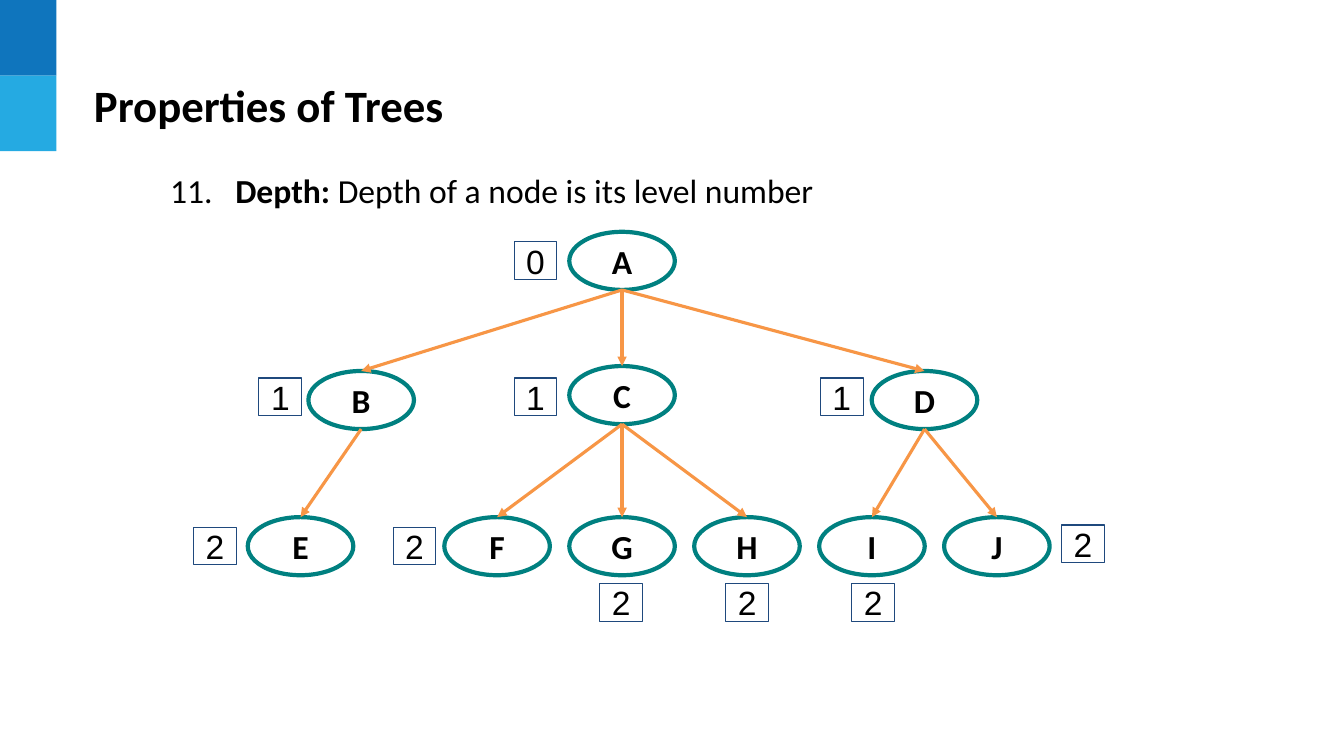
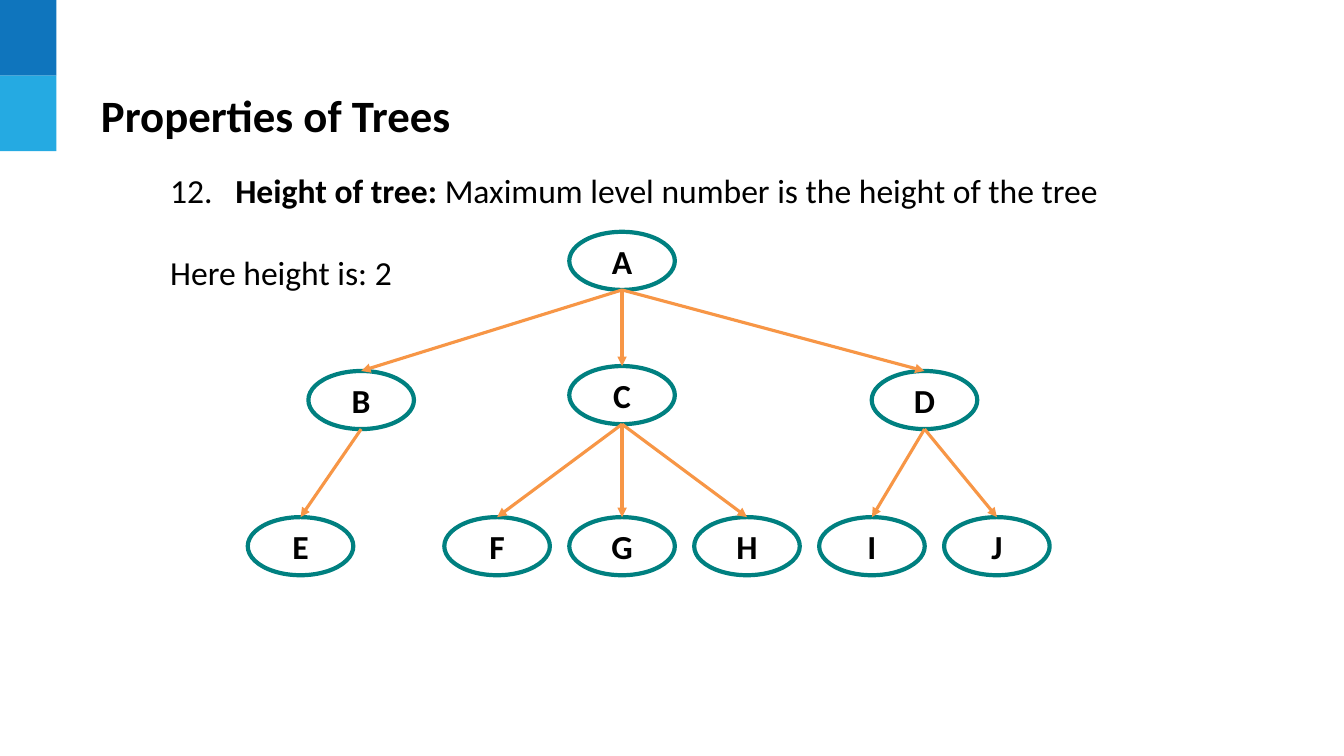
"""Build two slides on tree properties: node depth and tree height."""
from dataclasses import dataclass

from lxml.etree import SubElement as Sub
from pptx import Presentation
from pptx.dml.color import RGBColor as Rgb
from pptx.enum.shapes import MSO_CONNECTOR as Link, MSO_SHAPE as Kind
from pptx.enum.text import MSO_ANCHOR as Anchor, PP_ALIGN as Align
from pptx.oxml.ns import qn
from pptx.util import Pt


@dataclass(frozen=True)
class Theme:
    ink: str = "000000"
    paper: str = "FFFFFF"
    bands: tuple = ("0F75BD", "25AAE2")
    node: str = "008080"
    edge: str = "F79646"
    badge: str = "1F497D"
    font: str = "Calibri"
    digit: str = "Arial"
    head: int = 32
    body: int = 24


theme = Theme()


def write(para, text, size=theme.body, bold=False, font=theme.font):
    run = para.add_run()
    run.text = text
    run.font.name = font
    run.font.size = Pt(size)
    run.font.bold = bold
    run.font.color.rgb = Rgb.from_string(theme.ink)


def draw(shapes, kind, box, fill, line=None, width=0):
    shape = shapes.add_shape(kind, *map(Pt, box))
    shape.shadow.inherit = False
    shape.fill.solid()
    shape.fill.fore_color.rgb = Rgb.from_string(fill)
    if line:
        shape.line.color.rgb = Rgb.from_string(line)
        shape.line.width = Pt(width)
    else:
        shape.line.fill.background()
    frame = shape.text_frame
    frame.word_wrap = True
    frame.vertical_anchor = Anchor.MIDDLE
    frame.margin_top = frame.margin_bottom = 0
    frame.paragraphs[0].alignment = Align.CENTER
    return shape


wide, high = 75.4, 41.5
mid, low = 265, 369.4
start, gap = 355.1, 89.25
nodes = {"A": (start + gap, 165.6), "B": (258, mid), "C": (start + gap, 261.5),
         "D": (660.4, mid), "E": (214.7, low)}
nodes.update({name: (start + gap * i, low) for i, name in enumerate("FGHIJ")})
kids = {"A": "BCD", "B": "E", "C": "FGH", "D": "IJ"}
depth = {"A": 0}
for top, names in kids.items():
    depth.update({name: depth[top] + 1 for name in names})

beside, under = 376.6, 416.9
badges = {"A": (367.2, 172.8), "B": (185, 270), "C": (367.2, 270),
          "D": (586, 270), "E": (138.2, beside), "F": (280.8, beside),
          "G": (428.4, under), "H": (518.4, under), "I": (608.4, under),
          "J": (758.2, 375)}

pages = [
    {"head": (60, 42.5), "mark": "11.", "term": "Depth:",
     "text": " Depth of a node is its level number", "note": "", "tall": 44,
     "badges": badges},
    {"head": (65, 49.7), "mark": "12.", "term": "Height of tree:",
     "text": " Maximum level number is the height of the tree",
     "note": "Here height is: 2", "tall": 101.5, "badges": {}},
]

deck = Presentation()
deck.slide_width, deck.slide_height = Pt(960), Pt(540)
blank = deck.slide_layouts[6]
for item in list(blank.placeholders):
    blank.shapes.element.remove(item.element)

for page in pages:
    shapes = deck.slides.add_slide(blank).shapes
    if page is pages[0]:
        for i, tint in enumerate(theme.bands):
            band = draw(shapes, Kind.RECTANGLE, (0, 54 * i, 40.3, 54), tint)
            blank.shapes.element.append(band.element)

    frame = shapes.add_textbox(*map(Pt, (*page["head"], 630, 64.8))).text_frame
    frame.word_wrap = True
    frame.vertical_anchor = Anchor.MIDDLE
    write(frame.paragraphs[0], "Properties of Trees", theme.head, True)

    box = (114.5, 114.5, 730.8, page["tall"])
    frame = shapes.add_textbox(*map(Pt, box)).text_frame
    frame.word_wrap = True
    frame.margin_top = frame.margin_bottom = Pt(7.2)
    para = frame.paragraphs[0]
    tabs = Sub(para._p.get_or_add_pPr(), qn("a:tabLst"))
    Sub(tabs, qn("a:tab"), pos=str(Pt(46.5)), algn="l")
    write(para, page["mark"] + "\t")
    write(para, page["term"], bold=True)
    write(para, page["text"])
    if page["note"]:
        para = frame.add_paragraph()
        para.space_before = Pt(29.3)
        write(para, page["note"])

    tree = shapes.add_group_shape().shapes
    for name, (x, y) in nodes.items():
        oval = draw(tree, Kind.OVAL, (x - wide / 2, y, wide, high),
                    theme.paper, theme.node, 3)
        write(oval.text_frame.paragraphs[0], name, bold=True)
    for top, names in kids.items():
        x, y = nodes[top]
        for name in names:
            ends = (x, y + high, *nodes[name])
            edge = tree.add_connector(Link.STRAIGHT, *map(Pt, ends))
            edge.line.color.rgb = Rgb.from_string(theme.edge)
            edge.line.width = Pt(2.25)
            Sub(edge.line._get_or_add_ln(), qn("a:tailEnd"), type="triangle")
            Sub(edge._element.spPr, qn("a:effectLst"))

    for name, spot in page["badges"].items():
        badge = draw(shapes, Kind.RECTANGLE, (*spot, 30.6, 26.8),
                     theme.paper, theme.badge, 0.75)
        write(badge.text_frame.paragraphs[0], str(depth[name]),
              font=theme.digit)

deck.save("out.pptx")
